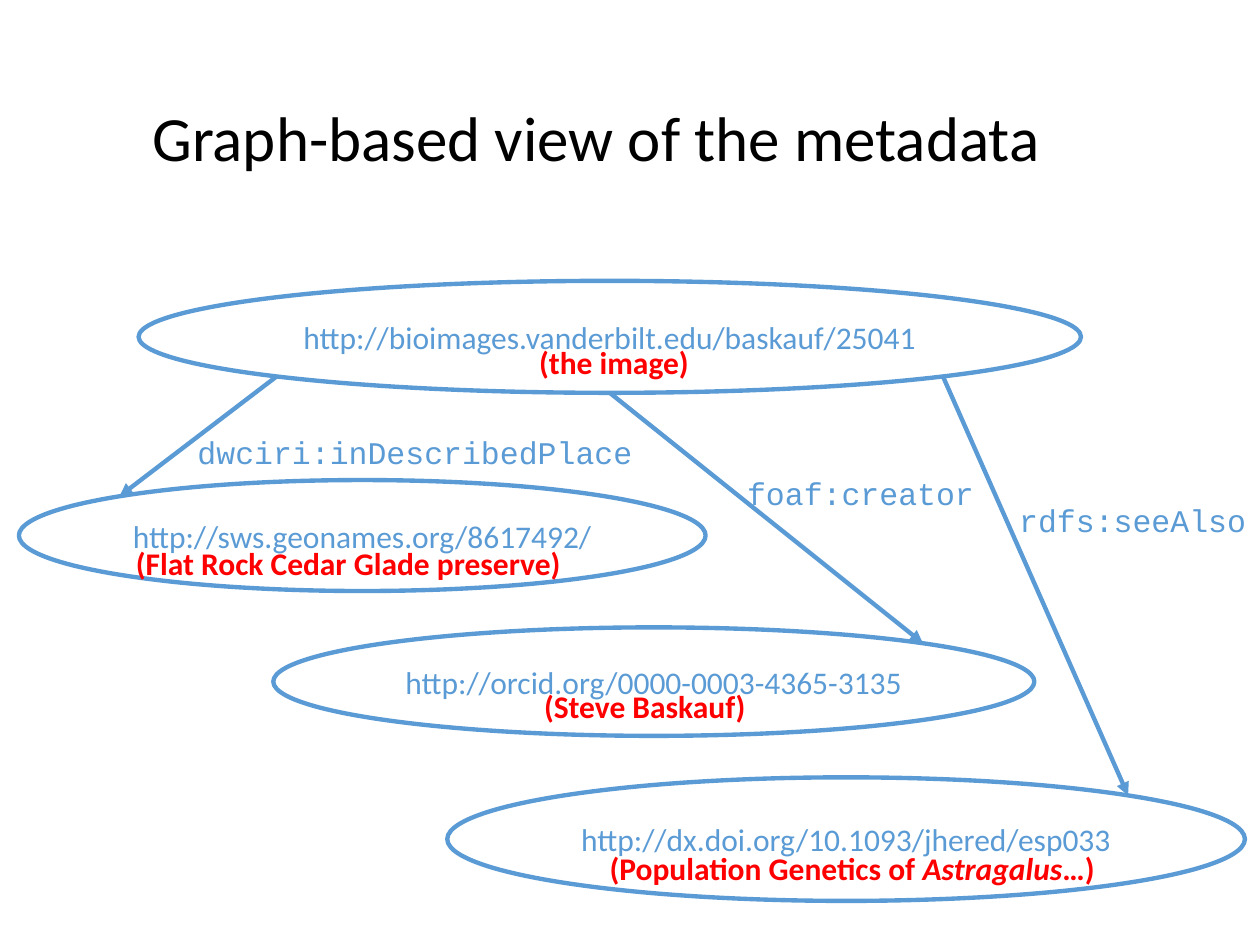
from math import cos, radians, sin

from lxml.etree import SubElement
from pptx import Presentation
from pptx.dml.color import RGBColor
from pptx.enum.shapes import MSO_CONNECTOR, MSO_SHAPE
from pptx.enum.text import MSO_ANCHOR, MSO_AUTO_SIZE, PP_ALIGN
from pptx.oxml.ns import qn
from pptx.util import Pt

COLORS = {"blue": "5B9BD5", "red": "FF0000", "black": "000000"}
LINE_WIDTH = 2.5
LABEL_HEIGHT = 29

TITLE = {"name": "Calibri", "size": Pt(36)}
RESOURCE = {"name": "Calibri", "size": Pt(18)}
PREDICATE = {"name": "Courier New", "size": Pt(18)}
NOTE = {"name": "Calibri", "size": Pt(18), "bold": True}

RESOURCES = {
    "image": ("http://bioimages.vanderbilt.edu/baskauf/25041", (79.2, 160.5, 538.5, 64)),
    "place": ("http://sws.geonames.org/8617492/", (10.8, 274.3, 392.4, 63.4)),
    "creator": ("http://orcid.org/0000-0003-4365-3135", (156.2, 358.5, 434.9, 62)),
    "article": ("http://dx.doi.org/10.1093/jhered/esp033", (255.6, 444.2, 455.8, 70.6)),
}
LINKS = [
    ("image", 135, "place", 225),
    ("image", 90, "creator", 315),
    ("image", 45, "article", 315),
]
PREDICATES = [
    ("dwciri:inDescribedPlace", (105.8, 244.1, 264.2)),
    ("foaf:creator", (419.8, 267.1, 144.7)),
    ("rdfs:seeAlso", (575.3, 283, 144.7)),
]
NOTES = [
    (["(the image)"], (301, 192.2, 107.3)),
    (["(Steve Baskauf)"], (303.8, 388.8, 164.9)),
    (["(Population Genetics of ", "Astragalus", "…)"], (341.3, 481.7, 304.6)),
    (["(Flat Rock Cedar Glade preserve)"], (70.6, 307.4, 262.8)),
]


def rgb(color):
    return RGBColor.from_string(COLORS[color])


def write_run(p, text, style, color, italic=False):
    r = p.add_run()
    r.text = text
    for key, value in {**style, "italic": italic}.items():
        setattr(r.font, key, value)
    r.font.color.rgb = rgb(color)


def set_title(s, text):
    sp = s.shapes.title
    sp.left, sp.top, sp.width, sp.height = map(Pt, (79.9, 57.6, 620.6, 59.8))
    tf = sp.text_frame
    tf.auto_size = MSO_AUTO_SIZE.NONE
    tf.vertical_anchor = MSO_ANCHOR.TOP
    p = tf.paragraphs[0]
    p.alignment = PP_ALIGN.LEFT
    p.line_spacing = 0.9
    write_run(p, text, TITLE, "black")


def add_resource(s, text, box):
    sp = s.shapes.add_shape(MSO_SHAPE.OVAL, *map(Pt, box))
    sp.shadow.inherit = False
    sp.fill.background()
    sp.line.color.rgb = rgb("blue")
    sp.line.width = Pt(LINE_WIDTH)
    tf = sp.text_frame
    tf.vertical_anchor = MSO_ANCHOR.MIDDLE
    p = tf.paragraphs[0]
    p.alignment = PP_ALIGN.CENTER
    write_run(p, text, RESOURCE, "blue")


def rim_point(box, angle):
    left, top, width, height = box
    a = radians(angle)
    return left + width / 2 * (1 + cos(a)), top + height / 2 * (1 + sin(a))


def add_arrow(s, start, end):
    cxn = s.shapes.add_connector(MSO_CONNECTOR.STRAIGHT, *map(Pt, start + end))
    cxn.line.color.rgb = rgb("blue")
    cxn.line.width = Pt(LINE_WIDTH)
    SubElement(cxn.line._get_or_add_ln(), qn("a:tailEnd"), type="triangle")
    SubElement(cxn._element.spPr, qn("a:effectLst"))


def add_label(s, parts, place, style, color, wrap):
    sp = s.shapes.add_textbox(*map(Pt, (*place, LABEL_HEIGHT)))
    tf = sp.text_frame
    tf.word_wrap = wrap
    tf.auto_size = MSO_AUTO_SIZE.SHAPE_TO_FIT_TEXT
    for text in parts:
        write_run(tf.paragraphs[0], text, style, color, text == "Astragalus")


def main():
    prs = Presentation()
    prs.slide_width, prs.slide_height = Pt(720), Pt(540)
    s = prs.slides.add_slide(prs.slide_layouts[5])
    set_title(s, "Graph-based view of the metadata")
    for text, box in RESOURCES.values():
        add_resource(s, text, box)
    for source, source_angle, target, target_angle in LINKS:
        add_arrow(
            s,
            rim_point(RESOURCES[source][1], source_angle),
            rim_point(RESOURCES[target][1], target_angle),
        )
    for text, place in PREDICATES:
        add_label(s, [text], place, PREDICATE, "blue", False)
    for parts, place in NOTES:
        add_label(s, parts, place, NOTE, "red", True)
    prs.save("out.pptx")


if __name__ == "__main__":
    main()
